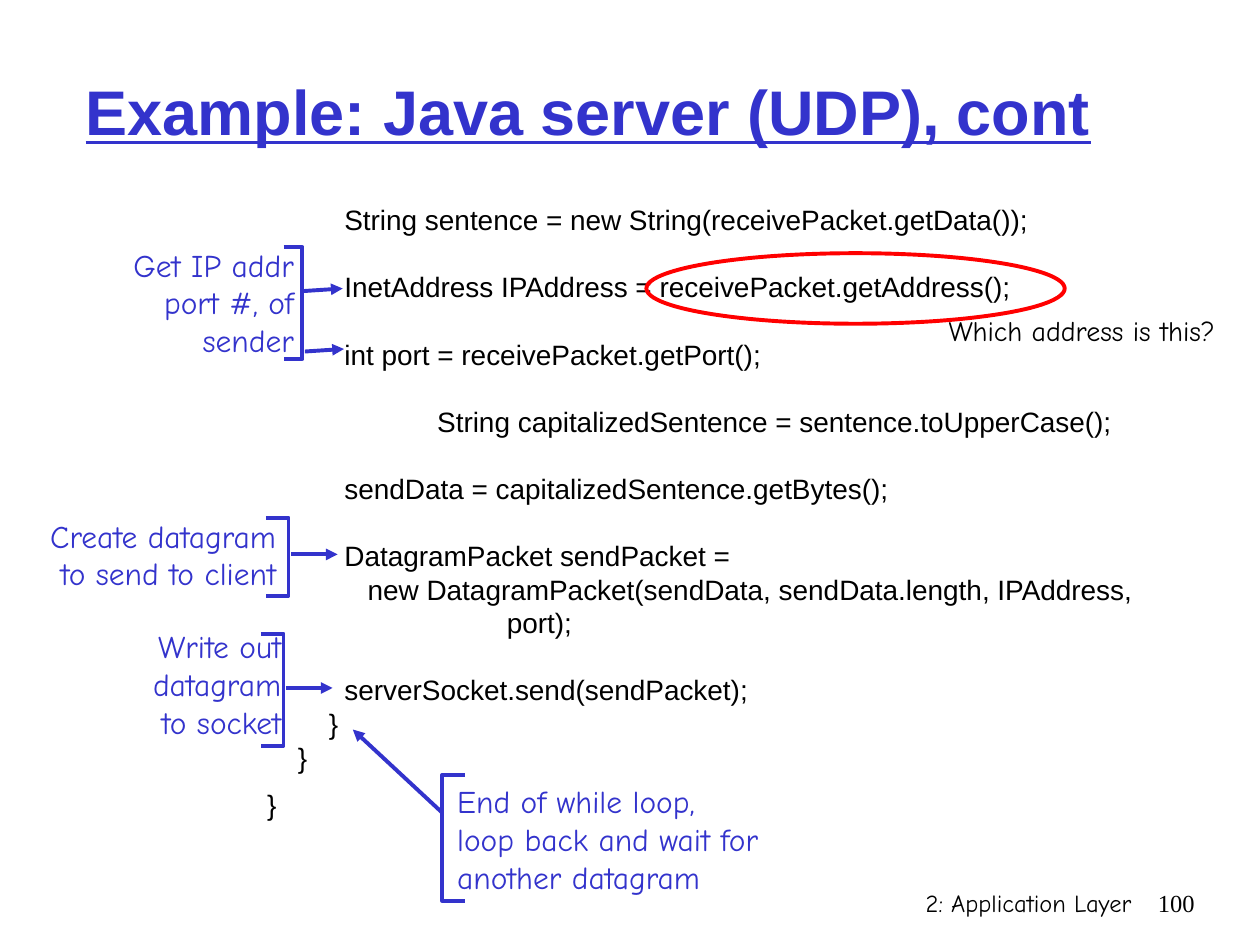
from lxml import etree
from pptx import Presentation
from pptx.dml.color import RGBColor
from pptx.enum.shapes import MSO_CONNECTOR, MSO_SHAPE
from pptx.enum.text import MSO_ANCHOR, PP_ALIGN
from pptx.oxml.ns import qn
from pptx.util import Inches, Pt

BLUE, BLACK, RED = "3333CC", "000000", "FF0000"
HAND = "Comic Neue"
LINE_PITCH = 19.2

# Each code line with the gap before it, in points
CODE = [
    ("          String sentence = new String(receivePacket.getData());", 0),
    ("          InetAddress IPAddress = receivePacket.getAddress();", LINE_PITCH),
    ("          int port = receivePacket.getPort();", LINE_PITCH),
    ("                      String capitalizedSentence = sentence.toUpperCase();", LINE_PITCH),
    ("          sendData = capitalizedSentence.getBytes();", LINE_PITCH),
    ("          DatagramPacket sendPacket =", LINE_PITCH),
    ("             new DatagramPacket(sendData, sendData.length, IPAddress,", 0),
    ("                               port);", 0),
    ("          serverSocket.send(sendPacket);", LINE_PITCH),
    ("        }", 0),
    ("    }", 0),
    ("}", 7.7),
]

# Label box, lines, bracket (open x, spine x, top, bottom), arrows
NOTES = [
    ((0.14, 1.9, 2.29, 1), ["Get IP addr", "port #, of", "sender"],
     (2.25, 2.4, 1.96, 2.85),
     [(2.41, 2.31, 2.72, 2.29), (2.42, 2.79, 2.73, 2.77)]),
    ((0.13, 4.05, 2.16, 0.7), ["Create datagram", "to send to client"],
     (2.11, 2.29, 4.11, 4.73), [(2.31, 4.4, 2.68, 4.4)]),
    ((0.89, 4.93, 1.44, 1), ["Write out", "datagram", "to socket"],
     (2.07, 2.25, 5.03, 5.92), [(2.27, 5.46, 2.64, 5.46)]),
    ((3.53, 6.16, 2.78, 1),
     ["End of while loop,", "loop back and wait for", "another datagram"],
     (3.69, 3.51, 6.15, 7.15), [(3.51, 6.45, 2.8, 5.79)]),
]


def color(hex_code):
    return RGBColor.from_string(hex_code)


def style(p, size, font, hex_code):
    for r in p.runs:
        r.font.size = Pt(size)
        r.font.name = font
        r.font.color.rgb = color(hex_code)


def add_text(s, box, lines, size, font, hex_code,
             align=PP_ALIGN.LEFT, anchor=MSO_ANCHOR.TOP):
    tf = s.shapes.add_textbox(*map(Inches, box)).text_frame
    tf.word_wrap = True
    tf.vertical_anchor = anchor
    tf.text = "\n".join(lines)
    for p in tf.paragraphs:
        p.alignment = align
        style(p, size, font, hex_code)
    return tf


def set_line(shape, hex_code):
    shape.line.color.rgb = color(hex_code)
    shape.line.width = Pt(2.25)


def add_arrow(s, ends):
    c = s.shapes.add_connector(MSO_CONNECTOR.STRAIGHT, *map(Inches, ends))
    set_line(c, BLUE)
    etree.SubElement(c.line._get_or_add_ln(), qn("a:tailEnd"), type="triangle")
    etree.SubElement(c._element.spPr, qn("a:effectLst"))


def add_bracket(s, open_x, spine_x, top, bottom):
    fb = s.shapes.build_freeform(Inches(open_x), Inches(top))
    corners = [(spine_x, top), (spine_x, bottom), (open_x, bottom)]
    fb.add_line_segments([(Inches(x), Inches(y)) for x, y in corners], close=False)
    sp = fb.convert_to_shape()
    sp.shadow.inherit = False
    sp.fill.background()
    set_line(sp, BLUE)


def add_title(s, box):
    sp = s.shapes.title
    sp.left, sp.top, sp.width, sp.height = map(Inches, box)
    tf = sp.text_frame
    tf.text = "Example: Java server (UDP), cont"
    tf.vertical_anchor = MSO_ANCHOR.MIDDLE
    p = tf.paragraphs[0]
    p.alignment = PP_ALIGN.LEFT
    style(p, 36, "Arial", BLUE)
    p.runs[0].font.bold = True
    p.runs[0].font.underline = True


def add_code(s, box):
    tf = add_text(s, box, [line for line, _ in CODE], 16, "Arial", BLACK)
    tf.word_wrap = False
    tf.margin_left = tf.margin_right = tf.margin_top = tf.margin_bottom = 0
    for p, (_, gap) in zip(tf.paragraphs, CODE):
        p.line_spacing = Pt(LINE_PITCH)
        p.space_before = Pt(gap)


def add_note(s, box, lines, bracket, arrows):
    open_x, spine_x = bracket[:2]
    align = PP_ALIGN.RIGHT if open_x < spine_x else PP_ALIGN.LEFT
    add_text(s, box, lines, 18, HAND, BLUE, align, MSO_ANCHOR.MIDDLE)
    add_bracket(s, *bracket)
    for ends in arrows:
        add_arrow(s, ends)


def add_question(s, box):
    x, y, w, h = box
    sp = s.shapes.add_shape(MSO_SHAPE.OVAL, *map(Inches, (x, y, 3.32, 0.56)))
    sp.shadow.inherit = False
    sp.fill.background()
    set_line(sp, RED)
    add_text(s, (x + w - 2.57, y + h - 0.37, 2.57, 0.37),
             ["Which address is this?"], 16, HAND, BLACK)


def add_footer(s, box):
    x, y, w, h = box
    number_w = 0.5
    add_text(s, (x, y, w - number_w, h), ["2: Application Layer"],
             14, HAND, BLACK, PP_ALIGN.RIGHT)
    add_text(s, (x + w - number_w, y, number_w, h), ["100"],
             14, "Times New Roman", BLACK, PP_ALIGN.RIGHT)


def main():
    prs = Presentation()
    prs.slide_width, prs.slide_height = Inches(10), Inches(7.5)
    s = prs.slides.add_slide(prs.slide_layouts[5])
    add_footer(s, (5.92, 7, 3.66, 0.5))
    add_title(s, (0.58, 0.25, 8.5, 1.25))
    add_code(s, (2.12, 1.61, 6.97, 4.98))
    for note in NOTES:
        add_note(s, *note)
    add_question(s, (5.13, 2.01, 4.87, 0.8))
    prs.save("out.pptx")


if __name__ == "__main__":
    main()
